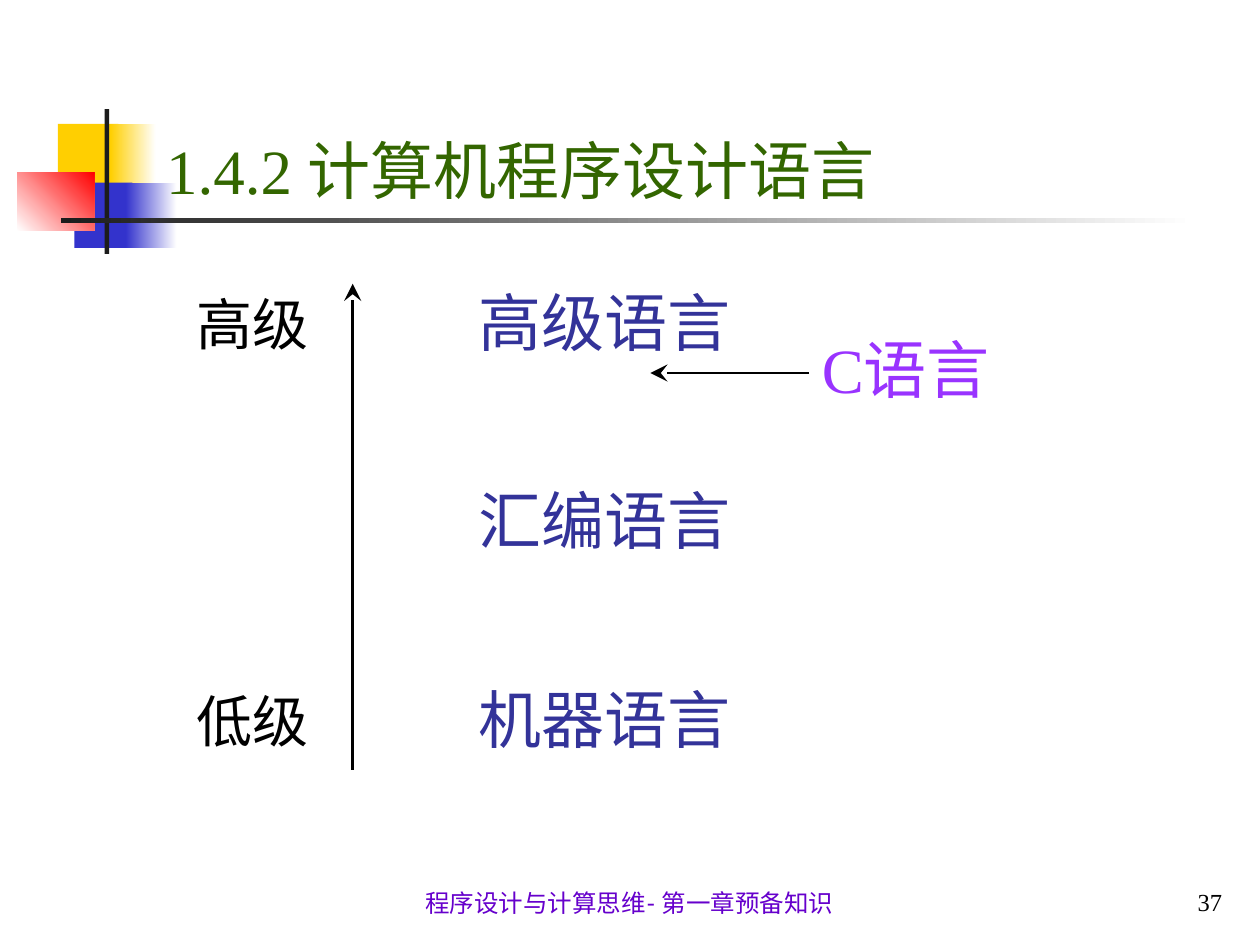
from lxml import etree
from pptx import Presentation
from pptx.dml.color import RGBColor
from pptx.enum.shapes import MSO_CONNECTOR, MSO_SHAPE
from pptx.enum.text import MSO_ANCHOR, MSO_AUTO_SIZE, PP_ALIGN
from pptx.oxml.ns import qn
from pptx.util import Cm, Pt

RECTANGLE, STRAIGHT = MSO_SHAPE.RECTANGLE, MSO_CONNECTOR.STRAIGHT
TOP, BOTTOM = MSO_ANCHOR.TOP, MSO_ANCHOR.BOTTOM
LEFT, CENTER, RIGHT = PP_ALIGN.LEFT, PP_ALIGN.CENTER, PP_ALIGN.RIGHT
FIT_SHAPE = MSO_AUTO_SIZE.SHAPE_TO_FIT_TEXT

SERIF, SANS, CJK = "Times New Roman", "Lato", "Noto Sans CJK SC"
EAST_ASIAN = {SERIF: CJK, SANS: SANS, CJK: CJK}
COLORS = {
    "yellow": "FFCF01", "blue": "3333CC", "red": "FF0000", "white": "FFFFFF",
    "charcoal": "1C1C1C", "black": "000000", "title": "336600",
    "level": "333399", "c_language": "9933FF", "footer": "6600CC",
}


def color(name):
    return RGBColor.from_string(COLORS[name])


def add_text(place, spans, size, color_name, align=CENTER, anchor=TOP, wrap=False):
    """Add a one-paragraph box; spans are (text, font) pairs."""
    box = slide.shapes.add_textbox(*map(Cm, place))
    frame = box.text_frame
    frame.word_wrap = wrap
    frame.vertical_anchor = anchor
    if not wrap:
        frame.auto_size = FIT_SHAPE
    para = frame.paragraphs[0]
    para.alignment = align
    for text, font_name in spans:
        span = para.add_run()
        span.text = text
        span.font.size = Pt(size)
        span.font.name = font_name
        span.font.color.rgb = color(color_name)
        east_asian = etree.SubElement(span.font._element, qn("a:ea"))
        east_asian.set("typeface", EAST_ASIAN[font_name])


deck = Presentation()
deck.slide_width, deck.slide_height = Cm(25.4), Cm(19.05)
slide = deck.slides.add_slide(deck.slide_layouts[6])

# Corner ornament: place, gradient start, gradient end (None is solid), angle
ornament = [
    ((1.17, 2.5, 1.22, 1.32), "yellow", None, 0),
    ((2.23, 2.5, 0.91, 1.32), "yellow", "white", 0),
    ((1.5, 3.68, 1.17, 1.32), "blue", None, 0),
    ((2.54, 3.68, 1.02, 1.32), "blue", "white", 0),
    ((0.35, 3.47, 1.55, 1.18), "white", "red", 45),
    ((2.11, 2.2, 0.09, 2.92), "charcoal", None, 0),
    ((1.23, 4.39, 22.86, 0.1), "charcoal", "white", 0),
]
for place, start, end, angle in ornament:
    block = slide.shapes.add_shape(RECTANGLE, *map(Cm, place))
    block.shadow.inherit = False
    block.line.fill.background()
    if end is None:
        block.fill.solid()
        block.fill.fore_color.rgb = color(start)
    else:
        block.fill.gradient()
        block.fill.gradient_angle = angle
        for stop, name in zip(block.fill.gradient_stops, (start, end)):
            stop.color.rgb = color(name)

# The title's CJK glyphs use the sans face, its digits the serif one
add_text((3.1, 2.51, 15.4, 1.8), [("1.4.2 ", SERIF), ("计算机程序设计语言", SANS)],
         36, "title", LEFT, BOTTOM, wrap=True)

# Language levels, from high to low
level_top, level_step = 5.59, 4
for row, name in enumerate(["高级语言", "汇编语言", "机器语言"]):
    add_text((9.4, level_top + row * level_step, 5.59, 1.78), [(name, SANS)], 36, "level")
for row, name in ((0, "高级"), (2, "低级")):
    add_text((3.71, level_top + 0.13 + row * level_step, 2.77, 1.63), [(name, SANS)],
             32, "black")
add_text((16.01, 6.53, 4.5, 1.78), [("C", SERIF), ("语言", SANS)], 36, "c_language")

# Level axis and pointer from the C label
for ends in ((7.11, 15.52, 7.11, 5.72), (16.31, 7.52, 13.11, 7.52)):
    arrow = slide.shapes.add_connector(STRAIGHT, *map(Cm, ends))
    arrow.line.width = Pt(1.5)
    arrow.line.color.rgb = color("black")
    properties = arrow._element.spPr
    head = etree.SubElement(properties.find(qn("a:ln")), qn("a:tailEnd"))
    for key, value in (("type", "stealth"), ("w", "lg"), ("len", "lg")):
        head.set(key, value)
    etree.SubElement(properties, qn("a:effectLst"))

add_text((4.09, 17.35, 17.2, 1.27), [("程序设计与计算思维", CJK), ("- 第一章预备知识", SANS)],
         14, "footer", CENTER, BOTTOM, wrap=True)
add_text((21.69, 17.32, 3.2, 1.27), [("37", SERIF)], 14, "black", RIGHT, BOTTOM, wrap=True)

deck.save("out.pptx")
